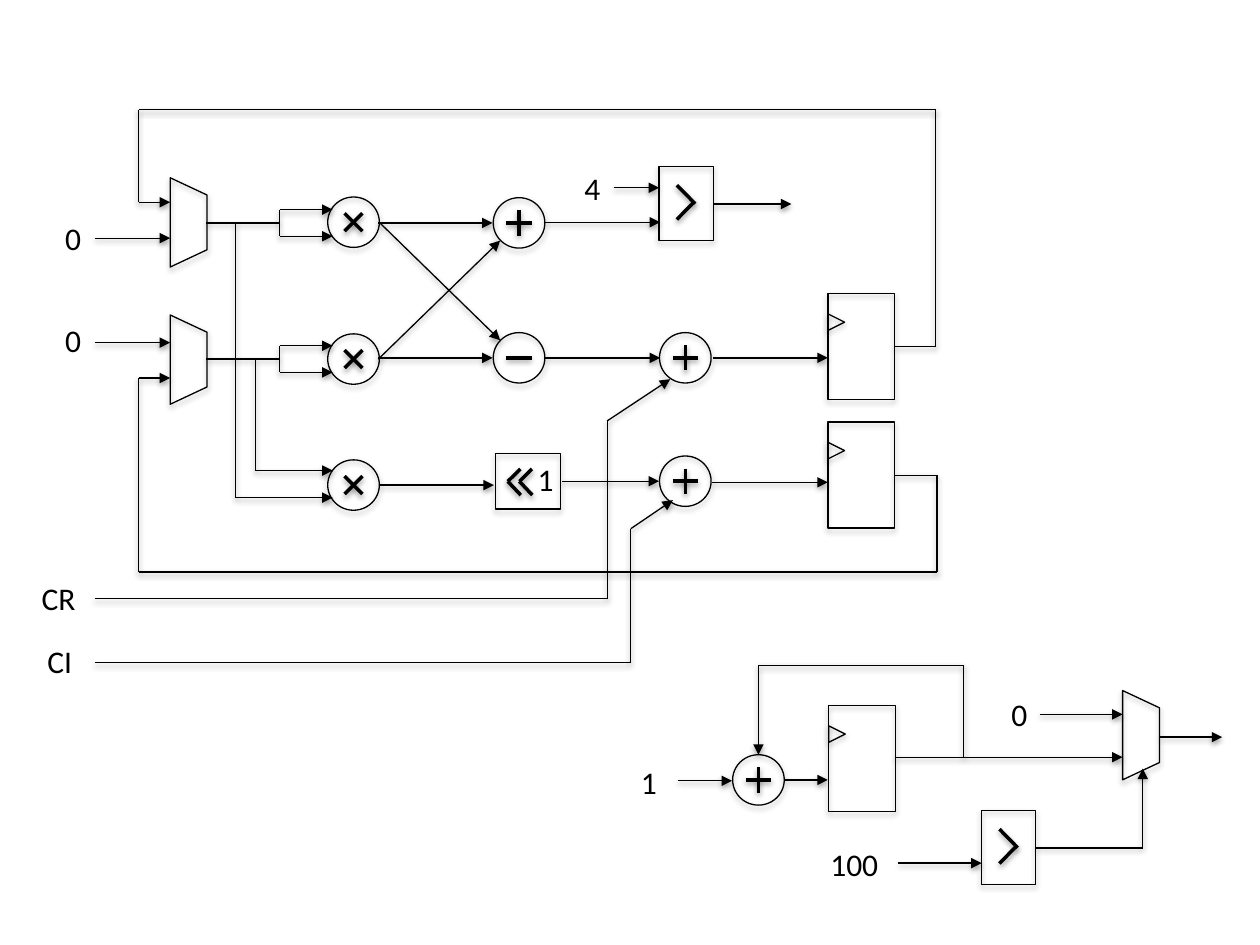
from dataclasses import dataclass
from itertools import pairwise
from typing import Any

from lxml import etree
from pptx import Presentation
from pptx.dml import color
from pptx.enum import shapes, text
from pptx.oxml import ns
from pptx.util import Pt

INK = "000000"
CIRCLE = (29.5, 28.8)


def rgb(value):
    """Turn a hex string into a colour."""
    return color.RGBColor.from_string(value)


def cast_shadow(effects, alpha, distance):
    """Put a soft downward shadow into an effect list."""
    outer = etree.SubElement(effects, ns.qn("a:outerShdw"), blurRad="40000",
                             dist=str(distance), dir="5400000", rotWithShape="0")
    ink = etree.SubElement(outer, ns.qn("a:srgbClr"), val=INK)
    etree.SubElement(ink, ns.qn("a:alpha"), val=str(alpha * 1000))


@dataclass
class Board:
    """A drawing area with its own origin on the slide."""
    slide: Any
    left: float = 0
    top: float = 0

    def at(self, x, y):
        """Return a board whose origin is moved by x and y."""
        return Board(self.slide, self.left + x, self.top + y)

    def outline(self, kind, x, y, width, height, rotation=0):
        """Draw an unfilled preset shape."""
        part = self.slide.shapes.add_shape(kind, Pt(self.left + x), Pt(self.top + y),
                                           Pt(width), Pt(height))
        part.rotation = rotation
        part.fill.background()
        part.line.color.rgb = rgb(INK)
        part.line.width = Pt(0.75)
        part.shadow.inherit = False
        cast_shadow(part._element.spPr.find(ns.qn("a:effectLst")), 35, 23000)
        return part

    def wire(self, *points, arrow=True, weight=0.75):
        """Join points with straight lines, the last with an arrowhead."""
        for start, end in pairwise(points):
            segment = self.slide.shapes.add_connector(
                shapes.MSO_CONNECTOR.STRAIGHT,
                Pt(self.left + start[0]), Pt(self.top + start[1]),
                Pt(self.left + end[0]), Pt(self.top + end[1]))
            segment.line.color.rgb = rgb(INK)
            segment.line.width = Pt(weight)
            if arrow and end == points[-1]:
                etree.SubElement(segment.line._get_or_add_ln(), ns.qn("a:tailEnd"),
                                 type="triangle")
            effects = etree.SubElement(segment._element.spPr, ns.qn("a:effectLst"))
            cast_shadow(effects, 38, 20000)

    def stroke(self, *points):
        """Draw a heavy line of an operator sign."""
        self.wire(*points, arrow=False, weight=2)

    def label(self, words, x, y, width=17.3):
        """Write a centred label."""
        frame = self.slide.shapes.add_textbox(
            Pt(self.left + x), Pt(self.top + y), Pt(width), Pt(28.8)).text_frame
        frame.word_wrap = True
        frame.margin_left = frame.margin_right = 0
        frame.paragraphs[0].alignment = text.PP_ALIGN.CENTER
        run = frame.paragraphs[0].add_run()
        run.text = words
        run.font.name = "Calibri"
        run.font.size = Pt(18)
        run.font.color.rgb = rgb(INK)


def operator(board, sign):
    """Draw a circled arithmetic sign centred on the origin."""
    width, height = CIRCLE
    board.outline(shapes.MSO_SHAPE.OVAL, -width / 2, -height / 2, width, height)
    arms = {"+": [(7.2, 0), (0, 7.2)], "-": [(7.2, 0)], "x": [(5.1, 5.1), (5.1, -5.1)]}
    for x, y in arms[sign]:
        board.stroke((-x, -y), (x, y))


def multiplexer(board):
    """Draw a multiplexer 21 wide and 51 high."""
    width, height = 21, 51
    body = board.outline(shapes.MSO_SHAPE.TRAPEZOID, (width - height) / 2,
                         (height - width) / 2, height, width, 90)
    body.adjustments[0] = 0.469


def register(board):
    """Draw a clocked register."""
    board.outline(shapes.MSO_SHAPE.RECTANGLE, 0, 0, 38.2, 60.5)
    board.outline(shapes.MSO_SHAPE.ISOSCELES_TRIANGLE, 0, 11.6, 9.4, 9.4, 90)


def comparator(board):
    """Draw a greater-than box."""
    board.outline(shapes.MSO_SHAPE.RECTANGLE, 0, 0, 31, 42.5)
    board.stroke((10.2, 10.8), (20.6, 21.4))
    board.stroke((20.2, 20.3), (10.2, 30.4))


def shifter(board):
    """Draw a box that shifts left by one."""
    board.outline(shapes.MSO_SHAPE.RECTANGLE, 0, 0, 37.4, 31.7)
    for tip in (7.2, 13.8):
        board.stroke((tip, 15.9), (tip + 7.2, 8.8))
        board.stroke((tip + 7.4, 23.7), (tip, 15.9))
    board.label("1", 20.2, 0)


def squarer_inputs(board):
    """Split one wire into the two inputs of a multiplier."""
    board.wire((0, 0), (41.8, 0), arrow=False)
    board.wire((41.8, -7.6), (41.8, 7.6), arrow=False)
    for y in (-7.6, 7.6):
        board.wire((41.8, y), (72.1, y))


def datapath(board):
    """Draw the iteration datapath."""
    for y in (41.6, 120):
        multiplexer(board.at(87.3, y))
    for sign, x, y in [("x", 192, 67), ("x", 192, 145.2), ("x", 192, 217.2),
                       ("+", 286.6, 67.4), ("-", 286.6, 144.5),
                       ("+", 381.6, 144.5), ("+", 381.6, 215)]:
        operator(board.at(x, y), sign)
    for y in (107.8, 181.2):
        register(board.at(463.2, y))
    comparator(board.at(366.6, 35))
    shifter(board.at(273, 199.2))
    for y in (67.4, 145.2):
        squarer_inputs(board.at(108, y))
    for route in [
        [(501.2, 138), (524.6, 138), (524.6, 2.6), (69.2, 2.6), (69.2, 55.6), (87.2, 55.6)],
        [(501.2, 211.6), (525.4, 211.6), (525.4, 266.9), (69.2, 266.9), (69.2, 156),
         (87.2, 156)],
        [(44, 76.1), (87.2, 76.1)],
        [(44, 135.8), (87.2, 135.8)],
        [(124.6, 67.4), (124.6, 224.4), (180.1, 224.4)],
        [(136.2, 145.2), (136.2, 208.9), (180.1, 208.9)],
        [(206.2, 67.4), (271.5, 67.4)],
        [(206.2, 145.2), (275.8, 77.5)],
        [(206.2, 144.5), (271.5, 144.5)],
        [(206.7, 67), (275.8, 134.4)],
        [(301, 67), (367.2, 67)],
        [(340.6, 47.3), (366.6, 47.3)],
        [(397.5, 56.6), (442.2, 56.6)],
        [(301, 144.5), (367.2, 144.5)],
        [(206.7, 217.2), (272.2, 217.2)],
        [(311.1, 215), (366.6, 215)],
        [(44, 282), (337, 282), (337, 180.5), (373, 156.7)],
        [(44, 318.7), (350.5, 318.7), (350.5, 242.1), (374.5, 225.8)],
        [(397.5, 144.5), (463, 144.5)],
        [(396.8, 215.6), (463, 215.6)],
    ]:
        board.wire(*route)
    for words, x, y, width in [("0", 23.1, 61.7, 17.3), ("0", 23.1, 120, 17.3),
                               ("4", 319.8, 32.9, 17.3), ("CR", 6.6, 267.6, 33.8),
                               ("CI", 9.4, 303.6, 29.5)]:
        board.label(words, x, y, width)


def counter(board):
    """Draw the iteration counter."""
    multiplexer(board.at(291.5, 14.6))
    register(board.at(123.6, 23.2))
    comparator(board.at(210.9, 83))
    operator(board.at(83.4, 65.7), "+")
    for route in [
        [(163.4, 113.2), (210.9, 113.2)],
        [(241.8, 104.6), (303, 104.6), (303, 59.2)],
        [(244, 28.2), (291.5, 28.2)],
        [(161.2, 52.7), (291.5, 52.7)],
        [(37.4, 66.2), (68.3, 66.2)],
        [(97.8, 65.7), (123, 65.7)],
        [(200.8, 52.7), (200.8, 0.2), (83.4, 0.2), (83.4, 51.3)],
        [(313, 41.2), (348.4, 41.2)],
    ]:
        board.wire(*route)
    for words, x, y, width in [("100", 113, 99.5, 50.4), ("0", 221, 13.8, 23),
                               ("1", 9.3, 52.7, 23)]:
        board.label(words, x, y, width)


deck = Presentation()
deck.slide_width, deck.slide_height = Pt(720), Pt(540)
circuit = Board(deck.slides.add_slide(deck.slide_layouts[6]))
datapath(circuit.at(10, 60))
counter(circuit.at(350, 380))
deck.save("out.pptx")
